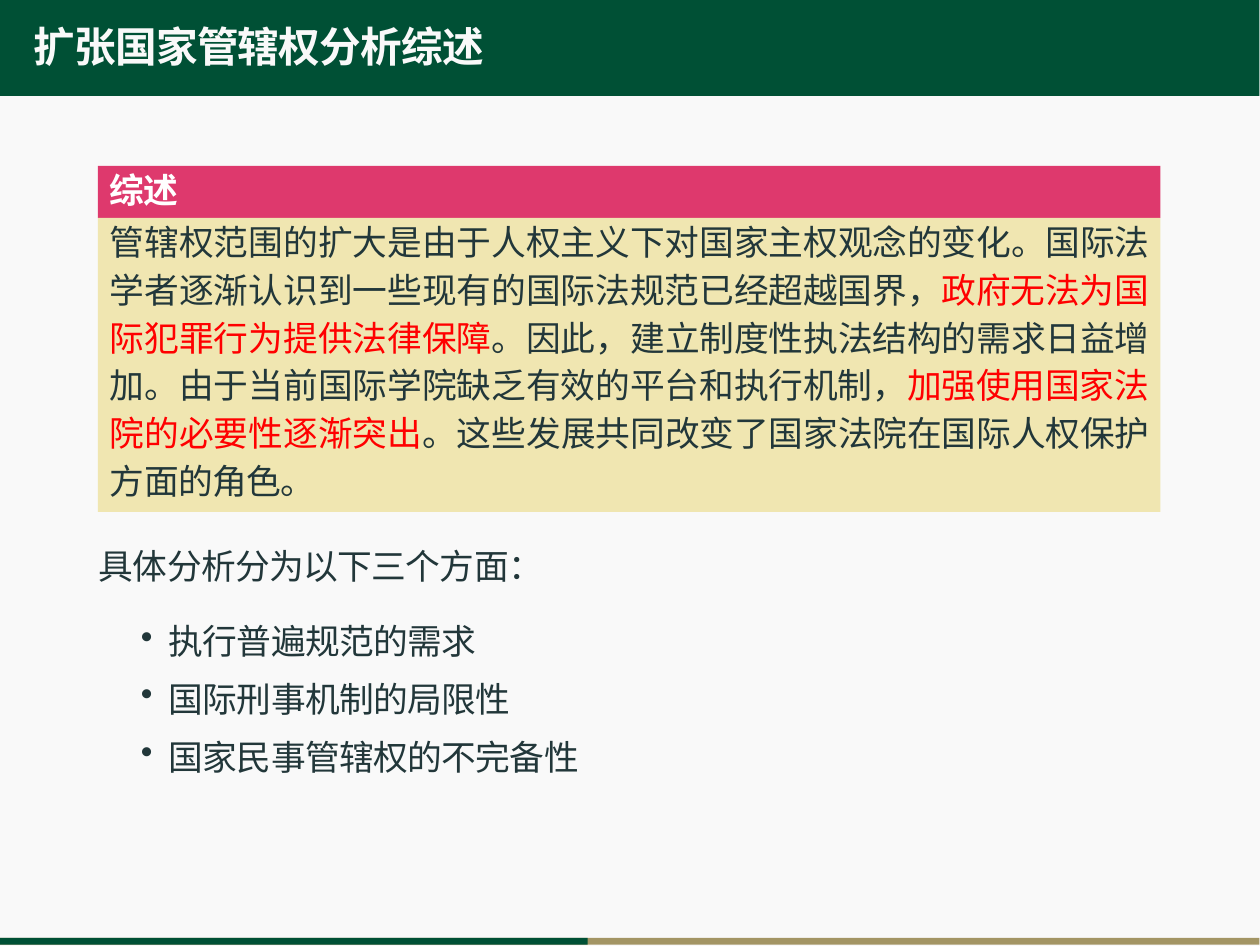
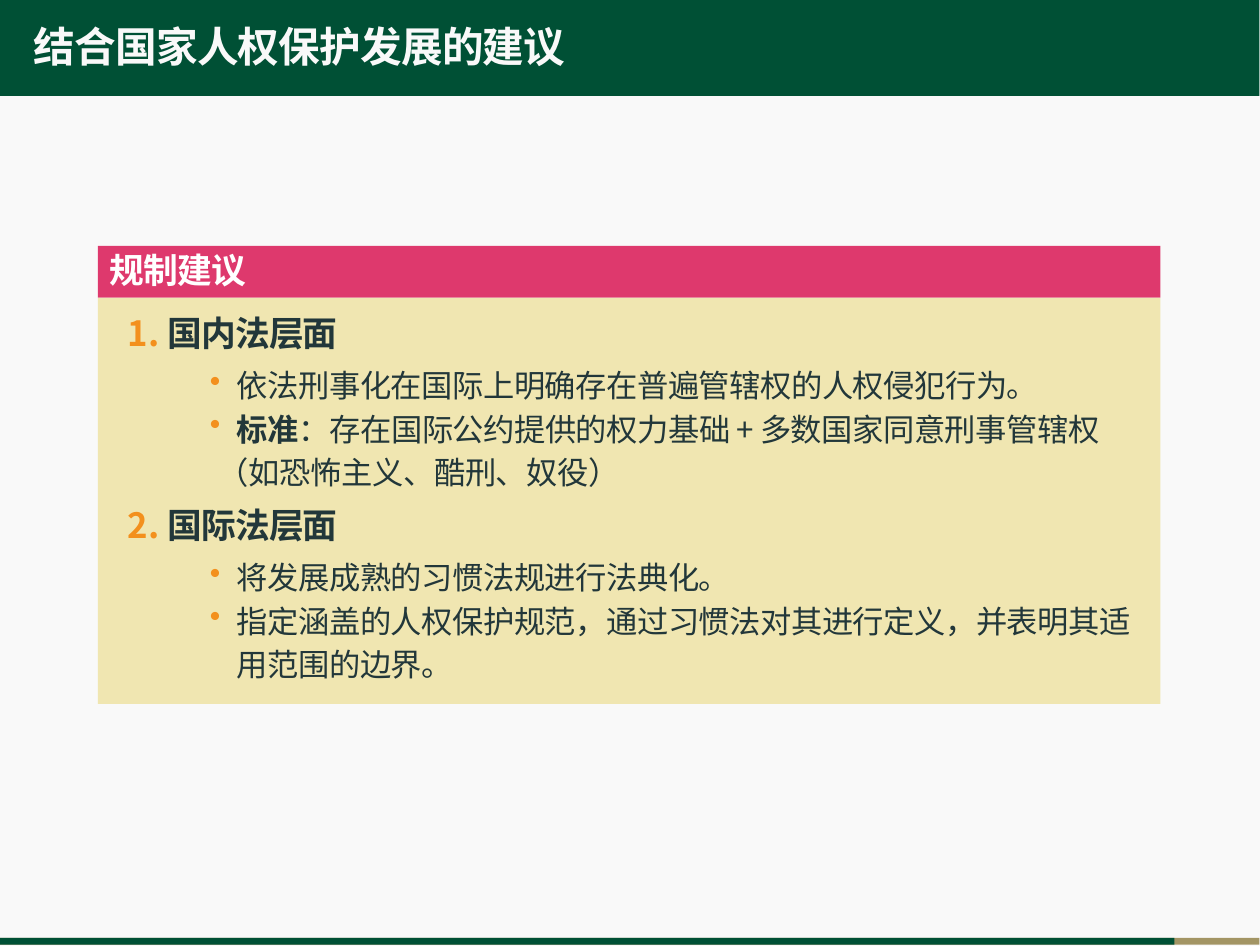
"""Builds two slides on extending national jurisdiction and protecting human rights."""
from lxml import etree
from pptx import Presentation
from pptx.dml.color import RGBColor
from pptx.enum.shapes import MSO_SHAPE
from pptx.enum.text import MSO_ANCHOR, PP_ALIGN
from pptx.oxml.ns import qn
from pptx.util import Emu, Pt

RECT = MSO_SHAPE.RECTANGLE
TOP = MSO_ANCHOR.TOP
LEFT, JUSTIFY = PP_ALIGN.LEFT, PP_ALIGN.JUSTIFY

FONT = "Noto Sans CJK SC"
GREEN = RGBColor(0x00, 0x50, 0x35)
GOLD = RGBColor(0xA3, 0x95, 0x64)
PAPER = RGBColor(0xF9, 0xF9, 0xF9)
PINK = RGBColor(0xDE, 0x39, 0x6D)
CREAM = RGBColor(0xF0, 0xE6, 0xB1)
WHITE = RGBColor(0xFF, 0xFF, 0xFF)
INK = RGBColor(0x22, 0x37, 0x3A)
RED = RGBColor(0xFF, 0x00, 0x00)
ORANGE = RGBColor(0xF3, 0x90, 0x1D)

SLIDE_W, SLIDE_H = Pt(363), Pt(272.5)
WIDTH, HEIGHT = 1260, 945
BAND_H, FOOTER_H = 96, 7
PANEL_X, PANEL_W, HEADER_H = 98, 1063, 52
PAD = 12

STYLES = {
    "title": dict(size=12, line=15, spc=-24, bold=True, color=PAPER),
    "header": dict(size=10, line=12.5, spc=-20, bold=True, color=WHITE),
    "body": dict(size=10, line=13.75, spc=-10, align=JUSTIFY),
    "lead": dict(size=10, line=13.75, spc=-15),
    "first_item": dict(size=10, line=13.75, spc=-15, before=7.9, left=70, hang=28, bullet="•"),
    "item": dict(size=10, line=13.75, spc=-15, before=2.9, left=70, hang=28, bullet="•"),
    "level": dict(size=10, line=13.75, spc=-24, before=2, bold=True, left=58, hang=40,
                  number=True, bullet_color=ORANGE),
    "first_point": dict(size=9, line=12.5, spc=-13, before=2, left=127, hang=27,
                        bullet="•", bullet_color=ORANGE),
    "point": dict(size=9, line=12.5, spc=-13, left=127, hang=27,
                  bullet="•", bullet_color=ORANGE),
    "aside": dict(size=9, line=12.5, spc=-10, left=108),
}
EMPHASIS = {"red": dict(color=RED), "bold": dict(bold=True)}

SLIDES = [
    dict(
        title="扩张国家管辖权分析综述", progress=588,
        header="综述", panel_y=166, panel_h=294, text_dy=-3,
        panel=[("body", [
            ("管辖权范围的扩大是由于人权主义下对国家主权观念的变化。"
             "国际法学者逐渐认识到一些现有的国际法规范已经超越国界，", None),
            ("政府无法为国际犯罪行为提供法律保障", "red"),
            ("。因此，建立制度性执法结构的需求日益增加。"
             "由于当前国际学院缺乏有效的平台和执行机制，", None),
            ("加强使用国家法院的必要性逐渐突出", "red"),
            ("。这些发展共同改变了国家法院在国际人权保护方面的角色。", None),
        ])],
        below=[
            ("lead", "具体分析分为以下三个方面："),
            ("first_item", "执行普遍规范的需求"),
            ("item", "国际刑事机制的局限性"),
            ("item", "国家民事管辖权的不完备性"),
        ],
    ),
    dict(
        title="结合国家人权保护发展的建议", progress=1175,
        header="规制建议", panel_y=246, panel_h=406, text_dy=8,
        panel=[
            ("level", "国内法层面"),
            ("first_point", "依法刑事化在国际上明确存在普遍管辖权的人权侵犯行为。"),
            ("point", [("标准", "bold"),
                       ("：存在国际公约提供的权力基础 + 多数国家同意刑事管辖权", None)]),
            ("aside", "（如恐怖主义、酷刑、奴役）"),
            ("level", "国际法层面"),
            ("first_point", "将发展成熟的习惯法规进行法典化。"),
            ("point", "指定涵盖的人权保护规范，通过习惯法对其进行定义，并表明其适用范围的边界。"),
        ],
        below=[],
    ),
]


def px(n):
    return Emu(round(n * 914400 / 250))


def add_rect(s, x, y, w, h, fill):
    sp = s.shapes.add_shape(RECT, px(x), px(y), px(w), px(h))
    sp.shadow.inherit = False
    sp.fill.solid()
    sp.fill.fore_color.rgb = fill
    sp.line.fill.background()
    return sp


def set_bullet(p, style, number):
    pPr = p._p.get_or_add_pPr()
    left, hang = style.get("left", 0), style.get("hang", 0)
    pPr.set("marL", str(px(left)))
    pPr.set("indent", str(-px(hang)))
    if "bullet_color" in style:
        clr = etree.SubElement(pPr, qn("a:buClr"))
        etree.SubElement(clr, qn("a:srgbClr")).set("val", str(style["bullet_color"]))
    if "number" in style:
        bu = etree.SubElement(pPr, qn("a:buAutoNum"))
        bu.set("type", "arabicPeriod")
        bu.set("startAt", str(number))
    elif "bullet" in style:
        etree.SubElement(pPr, qn("a:buChar")).set("char", style["bullet"])
    else:
        etree.SubElement(pPr, qn("a:buNone"))


def format_run(r, style):
    r.font.name = FONT
    r.font.size = Pt(style["size"])
    r.font.bold = style.get("bold", False)
    r.font.color.rgb = style.get("color", INK)
    rPr = r._r.get_or_add_rPr()
    rPr.set("lang", "zh-CN")
    rPr.set("spc", str(style["spc"]))
    ea = etree.Element(qn("a:ea"))
    ea.set("typeface", FONT)
    rPr.find(qn("a:latin")).addnext(ea)


def write(sp, paragraphs, inset_x=0, inset_y=0):
    tf = sp.text_frame
    tf.word_wrap = True
    tf.vertical_anchor = TOP
    tf.margin_left = tf.margin_right = px(inset_x)
    tf.margin_top, tf.margin_bottom = px(inset_y), 0
    number = 0
    for i, (name, content) in enumerate(paragraphs):
        style = STYLES[name]
        p = tf.add_paragraph() if i else tf.paragraphs[0]
        p.alignment = style.get("align", LEFT)
        p.line_spacing = Pt(style["line"])
        p.space_before = Pt(style.get("before", 0) if i else 0)
        number += "number" in style
        set_bullet(p, style, number)
        runs = [(content, None)] if isinstance(content, str) else content
        for text, emphasis in runs:
            r = p.add_run()
            r.text = text
            format_run(r, {**style, **EMPHASIS.get(emphasis, {})})


def add_text(s, x, y, w, h, paragraphs, inset_x=0):
    write(s.shapes.add_textbox(px(x), px(y), px(w), px(h)), paragraphs, inset_x)


def add_slide(prs, data):
    s = prs.slides.add_slide(prs.slide_layouts[6])
    s.background.fill.solid()
    s.background.fill.fore_color.rgb = PAPER
    band = add_rect(s, 0, 0, WIDTH, BAND_H, GREEN)
    write(band, [("title", data["title"])], 34, 19)

    y, h = data["panel_y"], data["panel_h"]
    header = add_rect(s, PANEL_X, y, PANEL_W, HEADER_H, PINK)
    write(header, [("header", data["header"])], PAD, 1)
    y += HEADER_H
    add_rect(s, PANEL_X, y, PANEL_W, h, CREAM)
    add_text(s, PANEL_X, y + data["text_dy"], PANEL_W, h, data["panel"], PAD)
    if data["below"]:
        add_text(s, PANEL_X + 1, y + h + 27, PANEL_W, 250, data["below"])

    for w, fill in ((WIDTH, GOLD), (data["progress"], GREEN)):
        add_rect(s, 0, HEIGHT - FOOTER_H, w, FOOTER_H, fill)


def main():
    prs = Presentation()
    prs.slide_width, prs.slide_height = SLIDE_W, SLIDE_H
    for data in SLIDES:
        add_slide(prs, data)
    prs.save("out.pptx")


if __name__ == "__main__":
    main()
